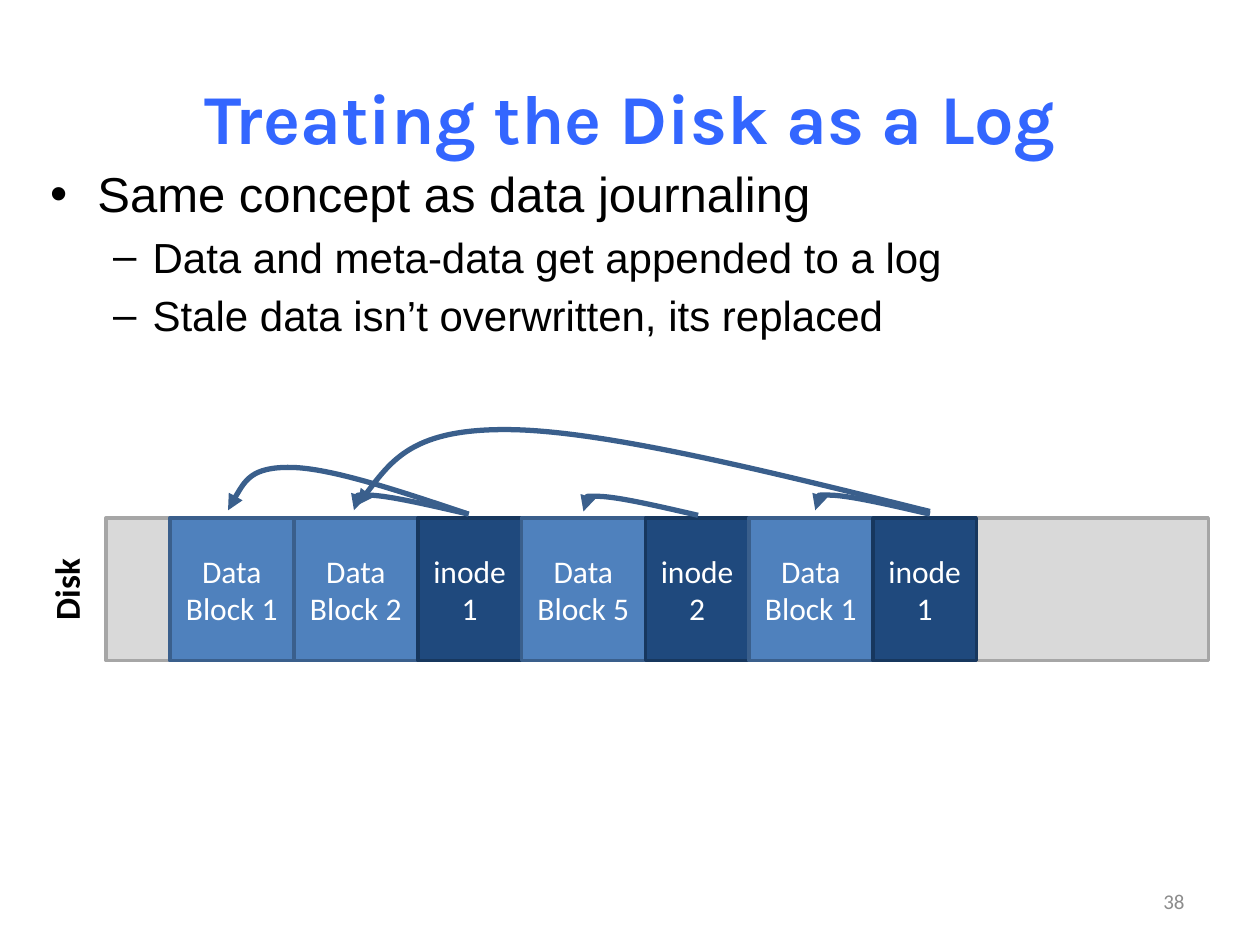
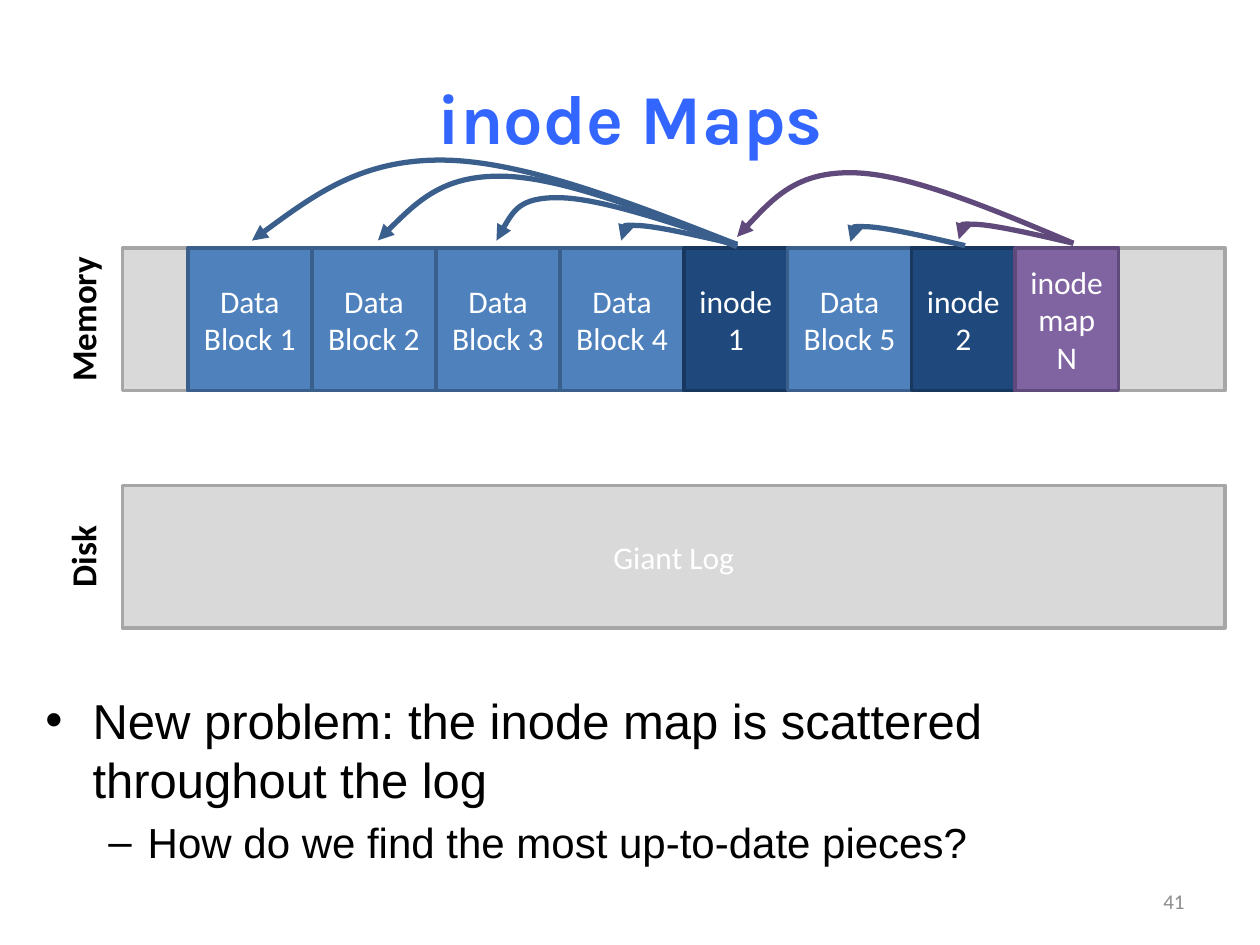
from dataclasses import dataclass

from lxml import etree
from pptx import Presentation
from pptx.dml.color import RGBColor
from pptx.enum import shapes, text
from pptx.oxml import ns
from pptx.util import Pt

BLACK = RGBColor(0x00, 0x00, 0x00)
WHITE = RGBColor(0xFF, 0xFF, 0xFF)
TITLE_BLUE = RGBColor(0x33, 0x66, 0xFF)
NUMBER_GRAY = RGBColor(0x8C, 0x8C, 0x8C)
BAR_FILL = RGBColor(0xD9, 0xD9, 0xD9)
BAR_LINE = RGBColor(0xA6, 0xA6, 0xA6)
DATA_FILL = RGBColor(0x4F, 0x81, 0xBD)
DATA_LINE = RGBColor(0x3A, 0x5F, 0x8C)
INODE_FILL = RGBColor(0x1F, 0x49, 0x7D)
INODE_LINE = RGBColor(0x17, 0x37, 0x5E)
MAP_FILL = RGBColor(0x80, 0x64, 0xA2)
MAP_LINE = RGBColor(0x60, 0x4A, 0x7B)

BAR_WIDTH = 630
BAR_HEIGHT = 81.5
LABEL_WIDTH = 103
LABEL_HEIGHT = 31.5
LABEL_GAP = 22.7


@dataclass(frozen=True)
class CellStyle:
    fill: RGBColor
    line: RGBColor
    width: float


BAR = CellStyle(BAR_FILL, BAR_LINE, BAR_WIDTH)
DATA = CellStyle(DATA_FILL, DATA_LINE, 70.9)
INODE = CellStyle(INODE_FILL, INODE_LINE, 59.1)
INODE_MAP = CellStyle(MAP_FILL, MAP_LINE, 59.1)


@dataclass(frozen=True)
class Cell:
    words: str
    style: CellStyle


@dataclass(frozen=True)
class Bar:
    label: str
    left: float
    top: float
    words: str = ""
    cells_left: float = 0
    cells: tuple[Cell, ...] = ()


@dataclass(frozen=True)
class Bend:
    peak: tuple[float, float]
    tip: tuple[float, float]


HOOK = Bend((-56.2, -10.8), (-65.5, -2.2))
ARCH = Bend((-101.5, -26.7), (-137.5, -2.2))


@dataclass(frozen=True)
class Pointer:
    x: float
    y: float
    bend: Bend
    color: RGBColor = DATA_LINE


@dataclass(frozen=True)
class Bullet:
    words: str
    level: int = 0


@dataclass(frozen=True)
class Page:
    title: str
    number: str
    body_box: tuple[float, float, float, float]
    bullets: tuple[Bullet, ...]
    bars: tuple[Bar, ...]
    pointers: tuple[Pointer, ...]


def data(number: int) -> Cell:
    return Cell(f"Data Block {number}", DATA)


def inode(number: int) -> Cell:
    return Cell(f"inode\n{number}", INODE)


PAGES = (
    Page(
        "Treating the Disk as a Log",
        "38",
        (21.5, 90, 683.5, 136),
        (
            Bullet("Same concept as data journaling"),
            Bullet("Data and meta-data get appended to a log", 1),
            Bullet("Stale data isn’t overwritten, its replaced", 1),
        ),
        (
            Bar("Disk", 60.5, 296, cells_left=97, cells=(
                data(1), data(2), inode(1), data(5), inode(2), data(1), inode(1))),
        ),
        (
            Pointer(267.8, 293.8, HOOK),
            Pointer(398.9, 294.5, HOOK),
            Pointer(267.8, 293.8, ARCH),
            Pointer(531.4, 293.8, HOOK),
            Pointer(531.4, 292.3, Bend((-240.5, -46.8), (-327, -3.6))),
        ),
    ),
    Page(
        "inode Maps",
        "41",
        (18.7, 391, 683.5, 142),
        (
            Bullet("New problem: the inode map is scattered throughout the log"),
            Bullet("How do we find the most up-to-date pieces?", 1),
        ),
        (
            Bar("Memory", 70, 141.7, cells_left=107.3, cells=(
                data(1), data(2), data(3), data(4), inode(1), data(5), inode(2),
                Cell("inode\nmap\nN", INODE_MAP))),
            Bar("Disk", 70, 277.3, "Giant Log"),
        ),
        (
            Pointer(421.2, 139.7, Bend((-168.5, -48.2), (-277.2, -2.2))),
            Pointer(421.2, 141, Bend((-134, -40.3), (-205.2, -3.6))),
            Pointer(421.2, 139.7, ARCH),
            Pointer(420.5, 139.7, HOOK),
            Pointer(551.5, 140.4, HOOK),
            Pointer(613.4, 139, HOOK, MAP_LINE),
            Pointer(613.4, 139, Bend((-126, -40.3), (-192.2, -3.6)), MAP_LINE),
        ),
    ),
)


def set_font(paragraph, name: str, size: float, color: RGBColor, bold: bool = False) -> None:
    font = paragraph.font
    font.name, font.size, font.bold = name, Pt(size), bold
    font.color.rgb = color


def place(box, left: float, top: float, width: float, height: float) -> None:
    box.left, box.top, box.width, box.height = map(Pt, (left, top, width, height))


def draw_title(slide, words: str) -> None:
    box = slide.shapes.title
    place(box, 36, 21.6, 648, 90)
    frame = box.text_frame
    frame.text = words
    frame.auto_size = text.MSO_AUTO_SIZE.NONE
    frame.vertical_anchor = text.MSO_ANCHOR.MIDDLE
    set_font(frame.paragraphs[0], "Karla", 40, TITLE_BLUE, True)


def draw_bullets(slide, page: Page) -> None:
    box = slide.placeholders[1]
    place(box, *page.body_box)
    frame = box.text_frame
    frame.auto_size = text.MSO_AUTO_SIZE.NONE
    frame.text = "\n".join(bullet.words for bullet in page.bullets)
    for para, bullet in zip(frame.paragraphs, page.bullets):
        para.level = bullet.level
        set_font(para, "Arial", 24 if bullet.level else 28, BLACK)
    frame.paragraphs[0].space_before = Pt(0)


def draw_text(slide, words: str, left: float, top: float, width: float, height: float,
              size: float, color: RGBColor, align, bold: bool = False):
    box = slide.shapes.add_textbox(Pt(left), Pt(top), Pt(width), Pt(height))
    frame = box.text_frame
    frame.word_wrap = True
    frame.text = words
    para = frame.paragraphs[0]
    para.alignment = align
    set_font(para, "Calibri", size, color, bold)
    return box


def draw_cell(slide, cell: Cell, left: float, top: float) -> None:
    box = slide.shapes.add_shape(shapes.MSO_SHAPE.RECTANGLE, Pt(left), Pt(top),
                                 Pt(cell.style.width), Pt(BAR_HEIGHT))
    box.shadow.inherit = False
    box.fill.solid()
    box.fill.fore_color.rgb = cell.style.fill
    box.line.color.rgb = cell.style.line
    box.line.width = Pt(2)
    if not cell.words:
        return
    frame = box.text_frame
    frame.text = cell.words
    frame.word_wrap = True
    frame.vertical_anchor = text.MSO_ANCHOR.MIDDLE
    for para in frame.paragraphs:
        para.alignment = text.PP_ALIGN.CENTER
        set_font(para, "Calibri", 18, WHITE)


def draw_bar(slide, bar: Bar) -> None:
    draw_cell(slide, Cell(bar.words, BAR), bar.left, bar.top)
    label = draw_text(slide, bar.label, bar.left - LABEL_GAP - LABEL_WIDTH / 2,
                      bar.top + (BAR_HEIGHT - LABEL_HEIGHT) / 2, LABEL_WIDTH, LABEL_HEIGHT,
                      20, BLACK, text.PP_ALIGN.CENTER, True)
    label.rotation = 270
    left = bar.cells_left
    for cell in bar.cells:
        draw_cell(slide, cell, left, bar.top)
        left += cell.style.width


def draw_pointer(slide, pointer: Pointer) -> None:
    x, y = pointer.x, pointer.y
    (peak_x, peak_y), (tip_x, tip_y) = pointer.bend.peak, pointer.bend.tip
    handle_x, handle_y = tip_x / 6, tip_y / 6
    before = (peak_x - handle_x, peak_y - handle_y)
    after = (peak_x + handle_x, peak_y + handle_y)
    points = (
        (before[0] / 2, before[1] / 2), before, (peak_x, peak_y),
        after, ((after[0] + tip_x) / 2, (after[1] + tip_y) / 2), (tip_x, tip_y),
    )
    builder = slide.shapes.build_freeform(Pt(x), Pt(y))
    builder.add_line_segments([(Pt(x + dx), Pt(y + dy)) for dx, dy in points], close=False)
    curve = builder.convert_to_shape()
    segments = list(curve._element.iter(ns.qn("a:lnTo")))
    outline = segments[0].getparent()
    for first in range(0, len(segments), 3):
        bezier = etree.SubElement(outline, ns.qn("a:cubicBezTo"))
        for segment in segments[first:first + 3]:
            bezier.append(segment[0])
            outline.remove(segment)
    curve.shadow.inherit = False
    curve.fill.background()
    curve.line.color.rgb = pointer.color
    curve.line.width = Pt(3)
    line = curve._element.spPr.find(ns.qn("a:ln"))
    etree.SubElement(line, ns.qn("a:tailEnd"), type="triangle")


def draw_page(deck, page: Page) -> None:
    slide = deck.slides.add_slide(deck.slide_layouts[1])
    draw_title(slide, page.title)
    draw_bullets(slide, page)
    number = draw_text(slide, page.number, 516, 500.5, 168, 28.8, 12, NUMBER_GRAY,
                       text.PP_ALIGN.RIGHT)
    number.text_frame.vertical_anchor = text.MSO_ANCHOR.MIDDLE
    for bar in page.bars:
        draw_bar(slide, bar)
    for pointer in page.pointers:
        draw_pointer(slide, pointer)


def main() -> None:
    deck = Presentation()
    deck.slide_width, deck.slide_height = Pt(720), Pt(540)
    for page in PAGES:
        draw_page(deck, page)
    deck.save("out.pptx")


if __name__ == "__main__":
    main()
